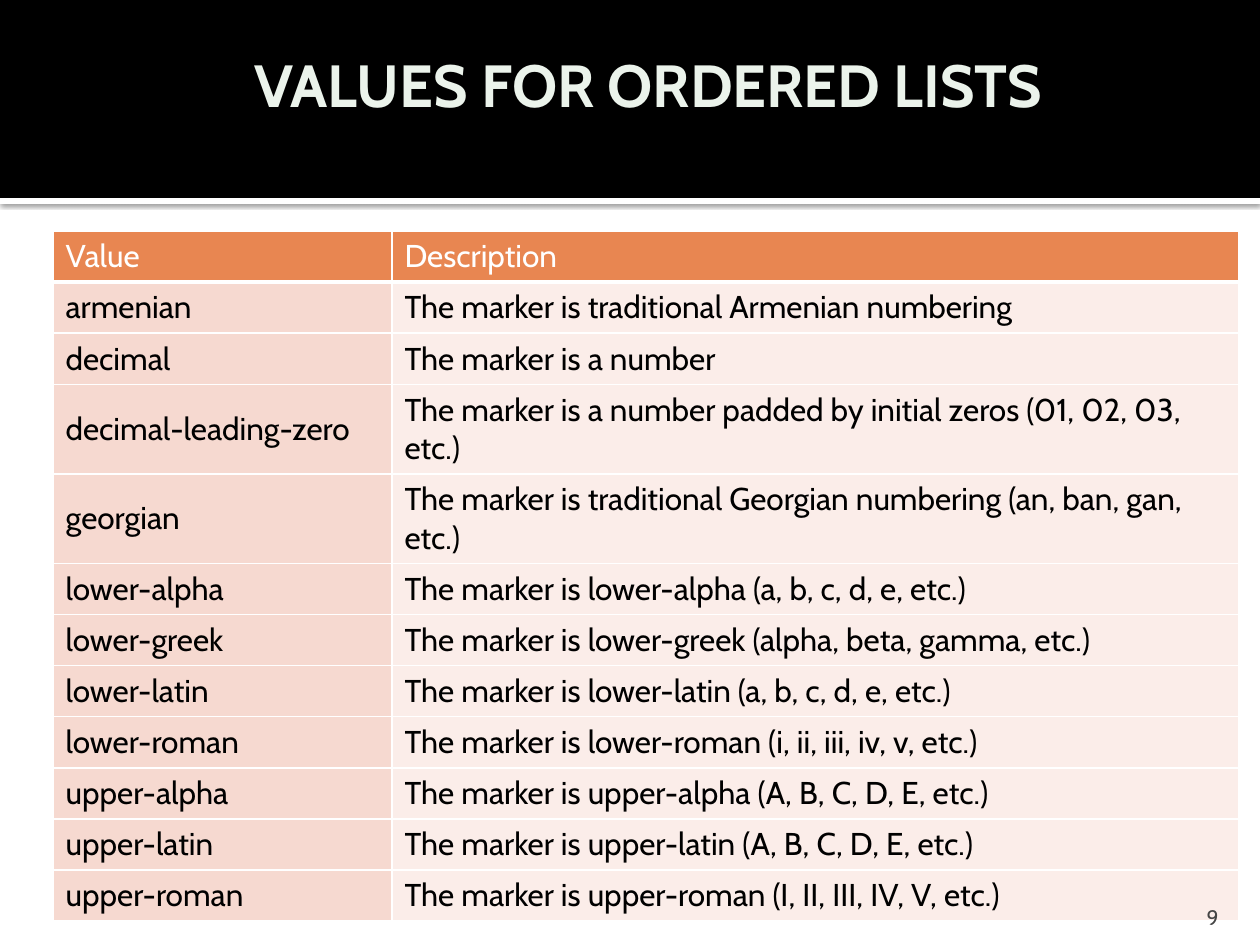
from lxml import etree
from pptx import Presentation
from pptx import util as u
from pptx.dml.color import RGBColor
from pptx.enum import shapes, text
from pptx.oxml import parse_xml
from pptx.oxml.ns import nsdecls, qn

PX = 914400 / 126
FONT = "Cabin"
COLORS = {
    "white": "FFFFFF", "black": "000000", "title": "EBF3EB",
    "header": "E88651", "value": "F6D9D0", "description": "FBEDE9",
    "number": "454545",
}
ROWS = [
    ("Value", "Description"),
    ("armenian", "The marker is traditional Armenian numbering"),
    ("decimal", "The marker is a number"),
    ("decimal-leading-zero",
     "The marker is a number padded by initial zeros (01, 02, 03, etc.)"),
    ("georgian",
     "The marker is traditional Georgian numbering (an, ban, gan, etc.)"),
    ("lower-alpha", "The marker is lower-alpha (a, b, c, d, e, etc.)"),
    ("lower-greek", "The marker is lower-greek (alpha, beta, gamma, etc.)"),
    ("lower-latin", "The marker is lower-latin (a, b, c, d, e, etc.)"),
    ("lower-roman", "The marker is lower-roman (i, ii, iii, iv, v, etc.)"),
    ("upper-alpha", "The marker is upper-alpha (A, B, C, D, E, etc.)"),
    ("upper-latin", "The marker is upper-latin (A, B, C, D, E, etc.)"),
    ("upper-roman", "The marker is upper-roman (I, II, III, IV, V, etc.)"),
]


def emu(*px):
    return [u.Emu(round(v * PX)) for v in px]


def rgb(name):
    return RGBColor.from_string(COLORS[name])


def write(tf, words, size=18, color="black", bold=False,
          align=text.PP_ALIGN.LEFT):
    p = tf.paragraphs[0]
    p.alignment = align
    r = p.add_run()
    r.text = words
    r.font.name, r.font.size, r.font.bold = FONT, u.Pt(size), bold
    r.font.color.rgb = rgb(color)


class Deck:
    def __init__(self, width, height):
        self.prs = Presentation()
        self.prs.slide_width, self.prs.slide_height = emu(width, height)
        self.s = self.prs.slides.add_slide(self.prs.slide_layouts[6])

    def band(self, *box, color, shadow=False):
        sp = self.s.shapes.add_shape(shapes.MSO_SHAPE.RECTANGLE, *emu(*box))
        sp.shadow.inherit = False
        sp.fill.solid()
        sp.fill.fore_color.rgb = rgb(color)
        sp.line.fill.background()
        if shadow:
            sp._element.spPr.find(qn("a:effectLst")).append(parse_xml(
                f'<a:outerShdw {nsdecls("a")} blurRad="{u.Pt(2.5)}" '
                f'dist="{u.Pt(0.8)}" dir="5400000"><a:srgbClr '
                f'val="{COLORS["black"]}"><a:alpha val="60000"/>'
                '</a:srgbClr></a:outerShdw>'))

    def label(self, *box, words, anchor=text.MSO_ANCHOR.TOP, bottom=6,
              **style):
        tf = self.s.shapes.add_textbox(*emu(*box)).text_frame
        tf.word_wrap = True
        tf.vertical_anchor = anchor
        tf.margin_bottom = emu(bottom)[0]
        write(tf, words, **style)

    def borders(self, cell, header):
        pr = cell._tc.get_or_add_tcPr()
        for i, side in enumerate(("lnL", "lnR", "lnT", "lnB")):
            width = 3 if header and side == "lnB" else 1
            ln = etree.Element(qn(f"a:{side}"), w=str(u.Pt(width)))
            fill = etree.SubElement(ln, qn("a:solidFill"))
            etree.SubElement(fill, qn("a:srgbClr"), val=COLORS["white"])
            pr.insert(i, ln)

    def table(self, left, top, widths, row_height, rows):
        box = emu(left, top, sum(widths), row_height * len(rows))
        table = self.s.shapes.add_table(len(rows), len(widths), *box).table
        for column, width in zip(table.columns, emu(*widths)):
            column.width = width
        for i, row in enumerate(rows):
            table.rows[i].height = emu(row_height)[0]
            for j, words in enumerate(row):
                cell = table.cell(i, j)
                cell.vertical_anchor = text.MSO_ANCHOR.MIDDLE
                cell.fill.solid()
                cell.fill.fore_color.rgb = rgb(
                    "header" if i == 0 else ("value", "description")[j])
                write(cell.text_frame, words,
                      color="black" if i else "white")
                self.borders(cell, header=i == 0)


def main():
    deck = Deck(1260, 945)

    # Title band with the shadowed strip below it
    deck.band(0, 198, 1260, 6, color="white", shadow=True)
    deck.band(0, 0, 1260, 198, color="black")

    # List marker values
    deck.table(53, 231, (339, 847), 51, ROWS)

    # Slide number and title
    deck.label(1130, 892, 101, 38, words="9", size=12, color="number",
               anchor=text.MSO_ANCHOR.BOTTOM, bottom=0,
               align=text.PP_ALIGN.RIGHT)
    deck.label(242, 42, 813, 84, words="VALUES FOR ORDERED LISTS", size=34,
               color="title", bold=True)

    deck.prs.save("out.pptx")


if __name__ == "__main__":
    main()
